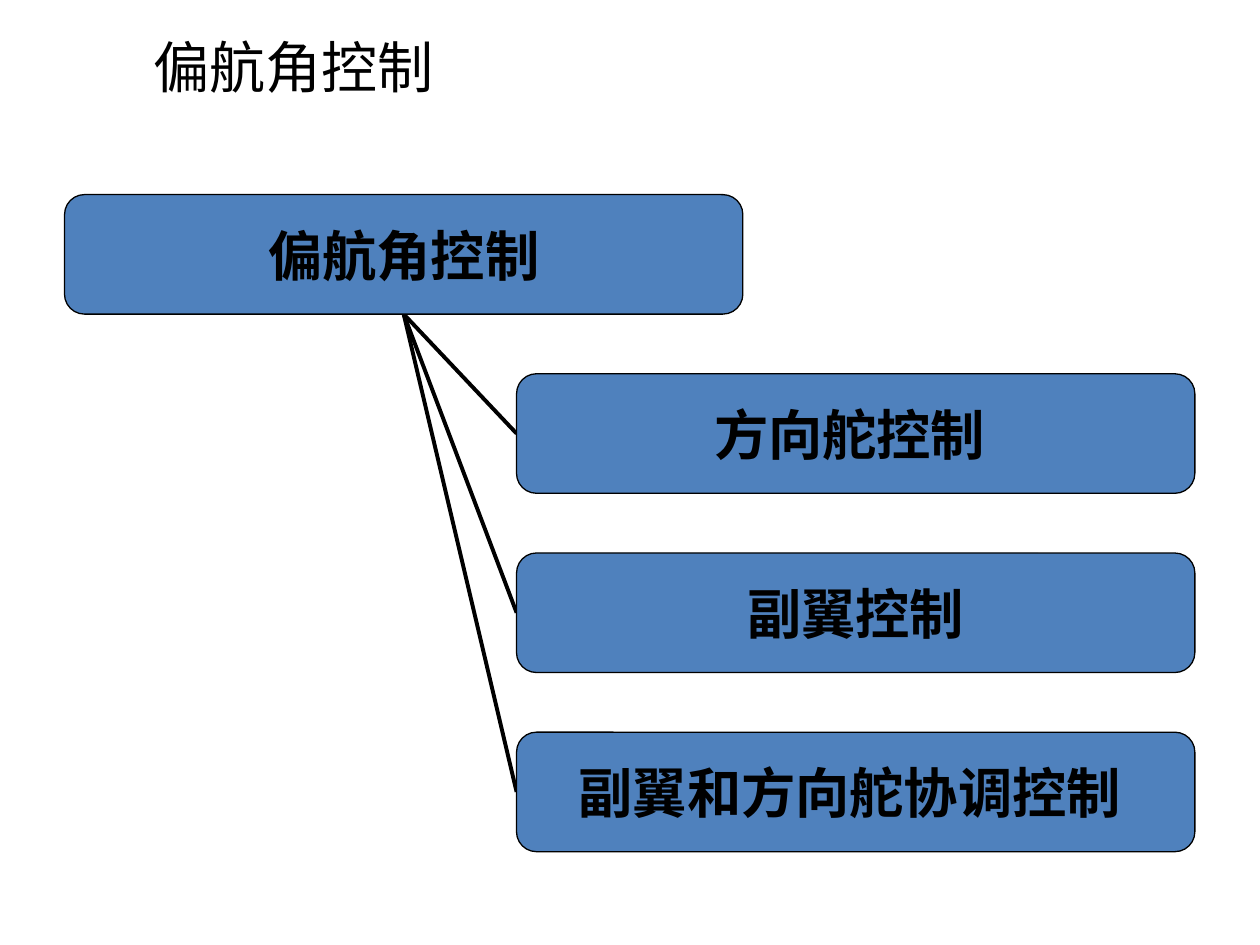
from dataclasses import dataclass

from lxml import etree
from pptx import Presentation
from pptx import util as u
from pptx.dml.color import RGBColor
from pptx.enum import shapes, text
from pptx.oxml import ns


@dataclass(frozen=True)
class Theme:
    ink: str = "000000"
    fill: str = "4F81BD"
    title_font: str = "Roboto"
    box_font: str = "Arial"
    title_size: float = 32
    box_size: float = 31
    outline: float = 0.75
    branch: float = 2.25


def write(frame, content, *, font, size, color, bold=False,
          align=text.PP_ALIGN.LEFT):
    """Put one formatted paragraph into a text frame."""
    para = frame.paragraphs[0]
    para.alignment = align
    span = para.add_run()
    span.text = content
    span.font.name = font
    span.font.size = u.Pt(size)
    span.font.bold = bold
    span.font.color.rgb = RGBColor.from_string(color)


class Slide:
    """Holds the theme, the current page and the group of the tree."""

    def __init__(self, deck, theme):
        self.theme = theme
        self.page = deck.slides.add_slide(deck.slide_layouts[5])
        self.tree = None

    def title(self, content, left, top, width, height):
        holder = self.page.shapes.title
        holder.left, holder.top = u.Pt(left), u.Pt(top)
        holder.width, holder.height = u.Pt(width), u.Pt(height)
        frame = holder.text_frame
        frame.vertical_anchor = text.MSO_ANCHOR.MIDDLE
        frame.auto_size = text.MSO_AUTO_SIZE.SHAPE_TO_FIT_TEXT
        write(frame, content, font=self.theme.title_font,
              size=self.theme.title_size, color=self.theme.ink)

    def start_tree(self):
        self.tree = self.page.shapes.add_group_shape()

    def box(self, content, left, top, width, height):
        box = self.tree.shapes.add_shape(
            shapes.MSO_SHAPE.ROUNDED_RECTANGLE,
            u.Pt(left), u.Pt(top), u.Pt(width), u.Pt(height))
        box.shadow.inherit = False
        box.fill.solid()
        box.fill.fore_color.rgb = RGBColor.from_string(self.theme.fill)
        box.line.color.rgb = RGBColor.from_string(self.theme.ink)
        box.line.width = u.Pt(self.theme.outline)
        frame = box.text_frame
        frame.margin_left = frame.margin_right = 0
        frame.margin_top = frame.margin_bottom = 0
        frame.word_wrap = False
        frame.vertical_anchor = text.MSO_ANCHOR.MIDDLE
        write(frame, content, font=self.theme.box_font,
              size=self.theme.box_size, color=self.theme.ink, bold=True,
              align=text.PP_ALIGN.CENTER)
        return box

    def branch(self, parent, child):
        """Join the left of a child to the bottom of its parent."""
        line = self.tree.shapes.add_connector(
            shapes.MSO_CONNECTOR.STRAIGHT, 0, 0, 0, 0)
        line.begin_connect(child, 1)
        line.end_connect(parent, 2)
        line.line.color.rgb = RGBColor.from_string(self.theme.ink)
        line.line.width = u.Pt(self.theme.branch)
        etree.SubElement(line._element.spPr, ns.qn("a:effectLst"))
        # Lines lie behind the boxes
        parent._element.addprevious(line._element)


def main():
    deck = Presentation()
    deck.slide_width, deck.slide_height = u.Pt(720), u.Pt(540)
    slide = Slide(deck, Theme())

    # Title
    slide.title("偏航角控制", 80.6, 15.1, 335.5, 45.4)

    # Boxes: the root, then its children one step lower each
    root_left, child_left, top = 36.9, 295.2, 111.2
    width, height, pitch = 387.6, 68.3, 102.4
    slide.start_tree()
    root = slide.box("偏航角控制", root_left, top, width, height)
    labels = ["方向舵控制 ", "副翼控制", "副翼和方向舵协调控制 "]
    children = [slide.box(label, child_left, top + row * pitch, width, height)
                for row, label in enumerate(labels, start=1)]

    # Branches
    for child in reversed(children):
        slide.branch(root, child)

    deck.save("out.pptx")


if __name__ == "__main__":
    main()
